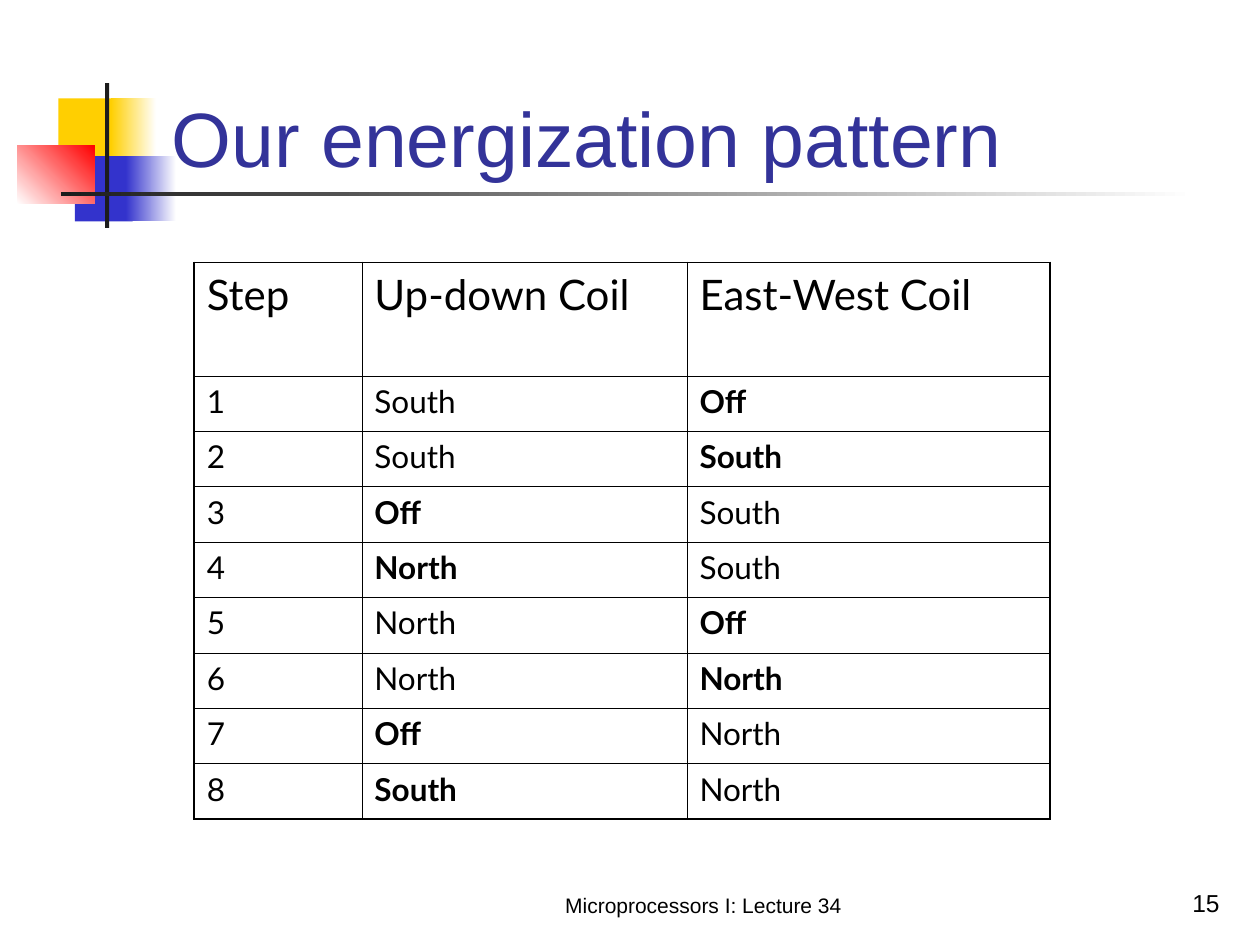
from lxml import etree
from pptx import Presentation
from pptx.dml.color import RGBColor
from pptx.enum.shapes import MSO_SHAPE
from pptx.enum.text import MSO_ANCHOR, PP_ALIGN
from pptx.oxml.ns import qn
from pptx.util import Pt

RECTANGLE = MSO_SHAPE.RECTANGLE
BOTTOM = MSO_ANCHOR.BOTTOM
LEFT, CENTER, RIGHT = PP_ALIGN.LEFT, PP_ALIGN.CENTER, PP_ALIGN.RIGHT

BLACK, WHITE, CHARCOAL = "000000", "FFFFFF", "1C1C1C"
YELLOW, BLUE, RED, TITLE_BLUE = "FFCF01", "3333CC", "FF0000", "333399"
THIN, THICK = 0.45, 1.08

# Left, top, width, height, colours (two make a gradient), gradient angle
ORNAMENTS = [
    (33.4, 56.2, 34.4, 37.3, [YELLOW], 0),
    (63.4, 56.2, 25.9, 37.3, [YELLOW, WHITE], 0),
    (42.8, 89.3, 33, 37.3, [BLUE], 0),
    (72, 89.3, 28.6, 37.3, [BLUE, WHITE], 0),
    (9.9, 83.2, 44.2, 33.4, [WHITE, RED], 45),
    (60, 47.5, 2.4, 82.8, [CHARCOAL], 0),
    (34.9, 109.6, 648, 2.4, [CHARCOAL, WHITE], 0),
]

COLUMN_WIDTHS = [95.8, 185.8, 207.4]
HEADER_HEIGHT, STEP_HEIGHT = 64.8, 31.68
HEADERS = ["Step", "Up-down Coil", "East-West Coil"]
COIL_STATES = [
    ("South", "Off"), ("South", "South"), ("Off", "South"), ("North", "South"),
    ("North", "Off"), ("North", "North"), ("Off", "North"), ("South", "North"),
]


def color(hex_string):
    return RGBColor.from_string(hex_string)


def add_run(para, text, size, font_name, hex_string, bold=False):
    span = para.add_run()
    span.text = text
    span.font.size = Pt(size)
    span.font.name = font_name
    span.font.bold = bold
    span.font.color.rgb = color(hex_string)


def add_block(page, left, top, width, height, colors, angle):
    block = page.shapes.add_shape(RECTANGLE, Pt(left), Pt(top), Pt(width), Pt(height))
    block.shadow.inherit = False
    block.line.fill.background()
    if len(colors) == 1:
        block.fill.solid()
        block.fill.fore_color.rgb = color(colors[0])
        return
    block.fill.gradient()
    block.fill.gradient_angle = angle
    for stop, hex_string in zip(block.fill.gradient_stops, colors):
        stop.color.rgb = color(hex_string)


def add_text(page, left, top, width, height, text, size, hex_string, align):
    box = page.shapes.add_textbox(Pt(left), Pt(top), Pt(width), Pt(height))
    frame = box.text_frame
    frame.word_wrap = True
    frame.vertical_anchor = BOTTOM
    para = frame.paragraphs[0]
    para.alignment = align
    add_run(para, text, size, "Arial", hex_string)


def set_borders(cell, widths):
    properties = cell._tc.get_or_add_tcPr()
    for side, width in widths.items():
        line = etree.SubElement(properties, qn("a:ln" + side), w=str(int(Pt(width))))
        fill = etree.SubElement(line, qn("a:solidFill"))
        etree.SubElement(fill, qn("a:srgbClr"), val=BLACK)


def add_step_table(page, left, top):
    # A coil's state is bold on the step where it has just changed
    rows = [[(header, False) for header in HEADERS]]
    for index, states in enumerate(COIL_STATES):
        previous = COIL_STATES[index - 1]
        coils = [(now, now != before) for now, before in zip(states, previous)]
        rows.append([(str(index + 1), False)] + coils)

    heights = [HEADER_HEIGHT] + [STEP_HEIGHT] * len(COIL_STATES)
    table = page.shapes.add_table(
        len(rows), len(HEADERS), Pt(left), Pt(top),
        Pt(sum(COLUMN_WIDTHS)), Pt(sum(heights))).table
    table.first_row = False
    table.horz_banding = False
    for column, width in zip(table.columns, COLUMN_WIDTHS):
        column.width = Pt(width)

    last_row, last_column = len(rows) - 1, len(HEADERS) - 1
    for r, row in enumerate(rows):
        table.rows[r].height = Pt(heights[r])
        for c, (text, bold) in enumerate(row):
            cell = table.cell(r, c)
            set_borders(cell, {
                "L": THICK if c == 0 else THIN,
                "R": THICK if c == last_column else THIN,
                "T": THICK if r == 0 else THIN,
                "B": THICK if r == last_row else THIN,
            })
            cell.fill.background()
            size = 24 if r == 0 else 18
            add_run(cell.text_frame.paragraphs[0], text, size, "Lato", BLACK, bold)


def main():
    deck = Presentation()
    deck.slide_width, deck.slide_height = Pt(720), Pt(540)
    page = deck.slides.add_slide(deck.slide_layouts[6])

    # Corner ornament and rule
    for ornament in ORNAMENTS:
        add_block(page, *ornament)

    # Footer, page number and title
    add_text(page, 288, 492, 228, 36, "Microprocessors I: Lecture 34", 12, BLACK, CENTER)
    add_text(page, 554, 492, 150, 36, "15", 14, BLACK, RIGHT)
    add_text(page, 91, 16.5, 613, 91.5, "Our energization pattern", 44, TITLE_BLUE, LEFT)

    # Energization steps
    add_step_table(page, 111, 150)

    deck.save("out.pptx")


if __name__ == "__main__":
    main()
